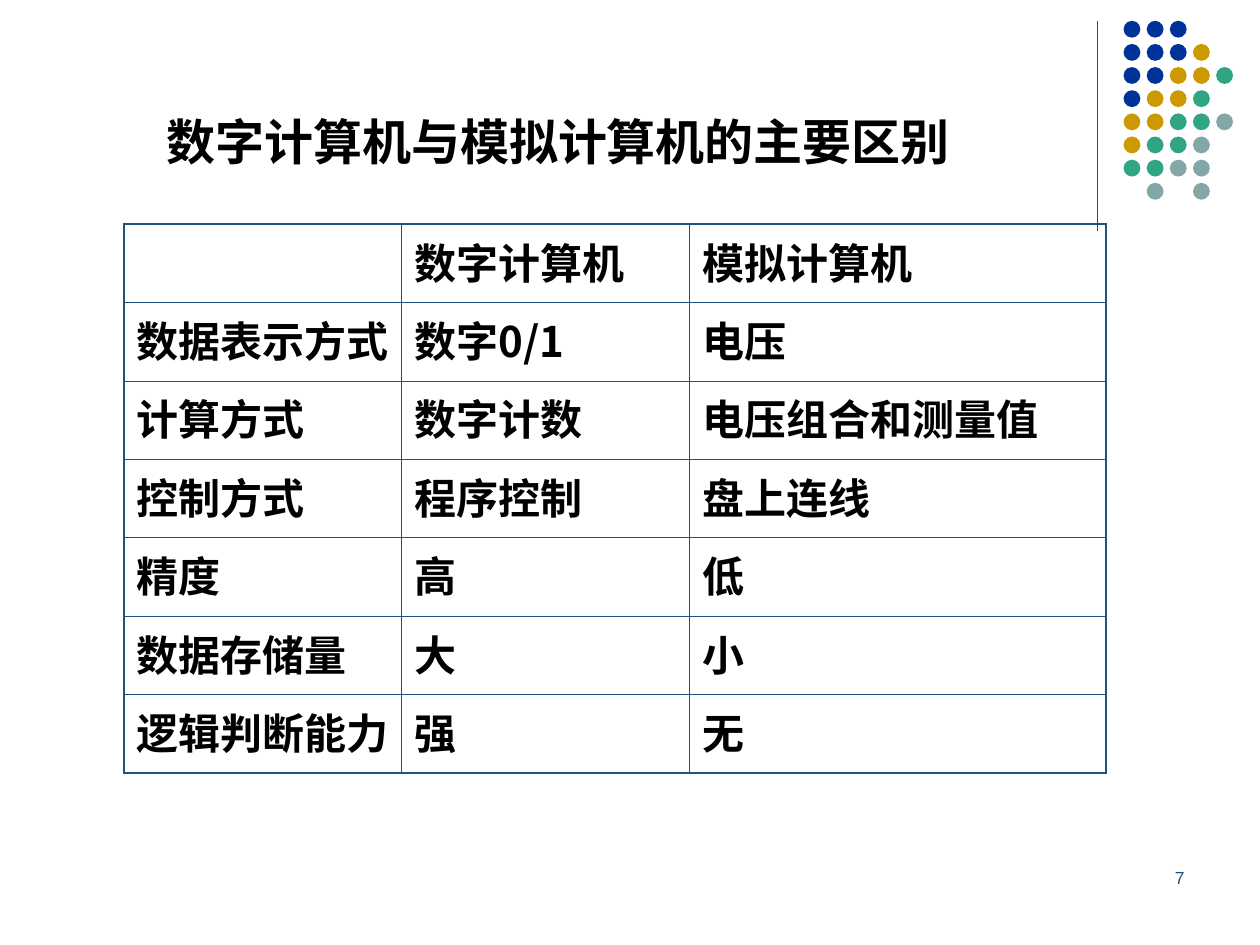
from dataclasses import dataclass
from typing import Any

from lxml.etree import SubElement
from pptx import Presentation
from pptx.dml.color import RGBColor
from pptx.enum.shapes import MSO_CONNECTOR, MSO_SHAPE
from pptx.enum.text import PP_ALIGN
from pptx.oxml.ns import qn
from pptx.util import Cm, Pt

COLOURS = {
    "ink": "000000",
    "rule": "1F5281",
    "blue": "003399",
    "gold": "CC9900",
    "green": "30A483",
    "grey": "83A6A7",
}
DOT_NAMES = {"b": "blue", "y": "gold", "g": "green", "s": "grey"}
DOT_ROWS = ["bbb", "bbby", "bbyyg", "byyg", "yyggs", "yggs", "ggss", " s s"]
COMPARISON = [
    ["", "数字计算机", "模拟计算机"],
    ["数据表示方式", "数字0/1", "电压"],
    ["计算方式", "数字计数", "电压组合和测量值"],
    ["控制方式", "程序控制", "盘上连线"],
    ["精度", "高", "低"],
    ["数据存储量", "大", "小"],
    ["逻辑判断能力", "强", "无"],
]


@dataclass
class SlideBuilder:
    """Draws styled elements on the current slide."""

    page: Any
    latin: str = "Arial"
    chinese: str = "Noto Sans CJK SC"
    outer: float = 1.08
    inner: float = 0.45

    def colour(self, name):
        return RGBColor.from_string(COLOURS[name])

    def span(self, para, text, size, colour="ink", bold=False, font=None):
        span = para.add_run()
        span.text = text
        span.font.size = Pt(size)
        span.font.bold = bold
        span.font.name = font or self.latin
        span.font.color.rgb = self.colour(colour)
        SubElement(span.font._element, qn("a:ea"), typeface=self.chinese)

    def text(self, words, left, top, width, height, size, align=PP_ALIGN.LEFT, **style):
        box = self.page.shapes.add_textbox(Cm(left), Cm(top), Cm(width), Cm(height))
        box.text_frame.word_wrap = True
        para = box.text_frame.paragraphs[0]
        para.alignment = align
        self.span(para, words, size, **style)

    def line(self, x, top, bottom):
        rule = self.page.shapes.add_connector(MSO_CONNECTOR.STRAIGHT, Cm(x), Cm(top), Cm(x), Cm(bottom))
        rule.line.color.rgb = self.colour("rule")
        rule.line.width = Pt(0.75)
        SubElement(rule._element.spPr, qn("a:effectLst"))

    def dot(self, left, top, size, colour):
        dot = self.page.shapes.add_shape(MSO_SHAPE.OVAL, Cm(left), Cm(top), Cm(size), Cm(size))
        dot.shadow.inherit = False
        dot.fill.solid()
        dot.fill.fore_color.rgb = self.colour(colour)
        dot.line.fill.background()

    def dots(self, rows, left, top, size, pitch):
        for y, row in enumerate(rows):
            for x, key in enumerate(row):
                if key in DOT_NAMES:
                    self.dot(left + x * pitch, top + y * pitch, size, DOT_NAMES[key])

    def border(self, cell, side, width):
        edge = SubElement(cell._tc.get_or_add_tcPr(), qn(f"a:ln{side}"), w=str(Pt(width)))
        fill = SubElement(edge, qn("a:solidFill"))
        SubElement(fill, qn("a:srgbClr"), val=COLOURS["rule"])

    def table(self, rows, left, top, widths, row_height, size):
        frame = self.page.shapes.add_table(
            len(rows), len(widths), Cm(left), Cm(top), Cm(sum(widths)), Cm(row_height * len(rows)))
        grid = frame.table
        grid.first_row = grid.horz_banding = False
        for column, width in zip(grid.columns, widths):
            column.width = Cm(width)
        for y, row in enumerate(rows):
            grid.rows[y].height = Cm(row_height)
            for x, words in enumerate(row):
                cell = grid.cell(y, x)
                on_edge = {"L": x == 0, "R": x == len(widths) - 1, "T": y == 0, "B": y == len(rows) - 1}
                for side, outside in on_edge.items():
                    self.border(cell, side, self.outer if outside else self.inner)
                cell.fill.background()
                if words:
                    self.span(cell.text_frame.paragraphs[0], words, size, bold=True, font=self.chinese)


def main():
    deck = Presentation()
    deck.slide_width, deck.slide_height = Cm(25.4), Cm(19.05)
    builder = SlideBuilder(deck.slides.add_slide(deck.slide_layouts[6]))
    builder.line(22.12, 0.42, 4.65)
    builder.dots(DOT_ROWS, 22.65, 0.42, 0.34, 1.4 / 3)
    builder.text("7", 18.2, 17.35, 5.93, 1.27, 10, PP_ALIGN.RIGHT, colour="rule")
    builder.table(COMPARISON, 2.5, 4.52, [5.6, 5.8, 8.4], 1.58, 24)
    builder.text("数字计算机与模拟计算机的主要区别", 3.11, 2.13, 16.8, 1.45, 28, bold=True)
    deck.save("out.pptx")


if __name__ == "__main__":
    main()
